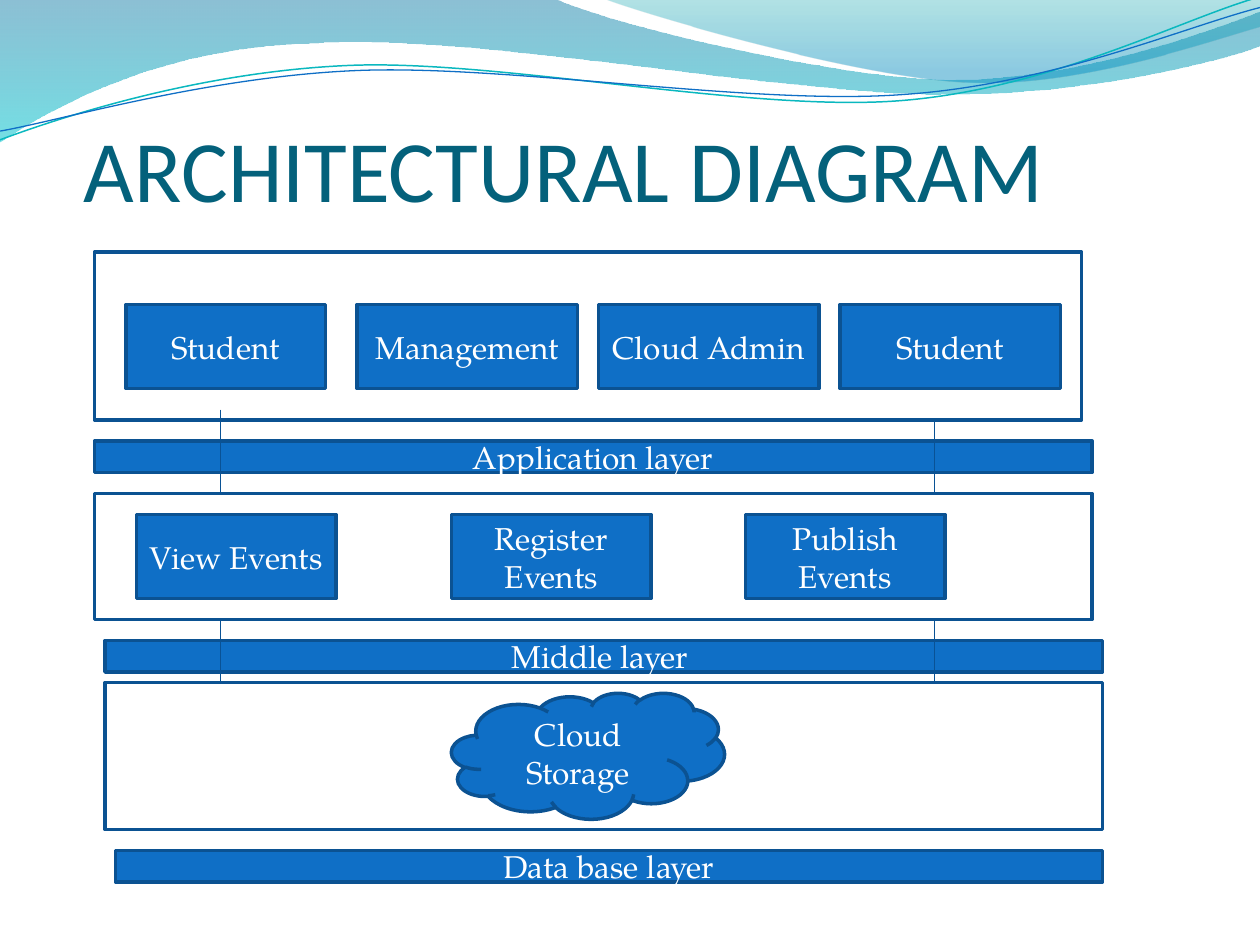
import math

from pptx import Presentation
from pptx.dml.color import RGBColor
from pptx.enum import shapes, text
from pptx.oxml import ns, xmlchemy
from pptx.util import Pt

WHITE = RGBColor(0xFF, 0xFF, 0xFF)
BLUE = RGBColor(0x0F, 0x6F, 0xC6)
NAVY = RGBColor(0x0B, 0x52, 0x92)
LINK = RGBColor(0x09, 0x52, 0x95)
TITLE = RGBColor(0x04, 0x61, 0x7B)
AQUA = RGBColor(0x0A, 0xB8, 0xBF)
WAVE_BLUE, WAVE_AQUA = RGBColor(0x00, 0x74, 0xA1), RGBColor(0x00, 0xC6, 0xCF)
CREST_TEAL, CREST_BLUE = RGBColor(0x00, 0xA1, 0xA9), RGBColor(0x00, 0x8B, 0xBF)

PROCESS = shapes.MSO_SHAPE.FLOWCHART_PROCESS
CLOUD = shapes.MSO_SHAPE.CLOUD
TITLE_FONT = {"name": "Calibri", "size": Pt(50), "bold": False}
LABEL_FONT = {"name": "TeX Gyre Pagella", "size": Pt(18)}
STRAND_TILT = -2.7

# Outlines: pairs of numbers are line ends, sixes are Bezier curves
WAVE = [(0, 0), (317, -0.7), (342.7, 12.2, 478.1, 45.4, 545.8, 45.4),
        (614.2, 45.4, 689.8, 18.7, 720, 6.5), (720.7, 25.9),
        (707.8, 31.7, 626.4, 54.7, 537.1, 54), (447.8, 54, 275, 20.2, 185, 24.5),
        (92.9, 25.9, 33.1, 59.8, -0.7, 81.4), (0, 0)]
CREST = [(344.9, -0.7), (366.5, 7.9, 491, 44.6, 553.7, 46.8),
         (616.3, 49.7, 691.9, 23, 720, 15.1), (720, 0), (344.9, -0.7)]
AQUA_STRAND = [(0, 79.9), (34.6, 67, 113.8, 41, 199.4, 37.4),
               (284.4, 33.8, 427, 64.1, 513.4, 57.6),
               (599.8, 51.1, 675.4, 10.8, 718.6, -1.4)]
BLUE_STRAND = [(0, 74.9), (33.8, 69.1, 118.1, 43.9, 203.8, 40.3),
               (290.2, 36.7, 429.8, 60.5, 516.2, 54),
               (601.9, 48.2, 677.5, 15.1, 720, 4.3)]


def set_all(target, values):
    for name, value in values.items():
        setattr(target, name, value)


def turn(x, y, degrees, center=(359.3, 41.4)):
    cos, sin = math.cos(math.radians(degrees)), math.sin(math.radians(degrees))
    dx, dy = x - center[0], y - center[1]
    return center[0] + dx * cos - dy * sin, center[1] + dx * sin + dy * cos


def add_outline(page, outline, close, tilt=0):
    """Draw lines through all points, then join each group of three to a curve."""
    points = [turn(x, y, -tilt) for part in outline
              for x, y in zip(part[::2], part[1::2])]
    points = [(Pt(x), Pt(y)) for x, y in points]
    builder = page.shapes.build_freeform(*points[0])
    builder.add_line_segments(points[1:], close=close)
    shape = builder.convert_to_shape()
    shape.shadow.inherit = False
    shape.rotation = tilt % 360

    lines = iter(list(shape.element.iter(ns.qn("a:lnTo"))))
    for part in outline[1:]:
        group = [next(lines) for _ in part[::2]]
        if len(group) == 3:
            curve = xmlchemy.OxmlElement("a:cubicBezTo")
            group[0].addprevious(curve)
            for line in group:
                curve.append(line[0])
                line.getparent().remove(line)
    return shape


def add_wave(page, outline, stops):
    shape = add_outline(page, outline, True)
    shape.line.fill.background()
    shape.fill.gradient()
    shape.fill.gradient_angle = 270
    for stop, (position, color, _) in zip(shape.fill.gradient_stops, stops):
        stop.position = position
        stop.color.rgb = color
    colors = shape.element.spPr.iter(ns.qn("a:srgbClr"))
    for color, (_, _, percent) in zip(colors, stops):
        alpha = xmlchemy.OxmlElement("a:alpha")
        alpha.set("val", str(percent * 1000))
        color.append(alpha)


def add_strand(page, outline, color, width):
    shape = add_outline(page, outline, False, STRAND_TILT)
    shape.fill.background()
    shape.line.color.rgb = color
    shape.line.width = Pt(width)


def add_header(page):
    add_wave(page, WAVE, [(0, WAVE_BLUE, 45), (1, WAVE_AQUA, 55)])
    add_wave(page, CREST, [(0, CREST_TEAL, 30), (0.8, CREST_BLUE, 45)])
    add_strand(page, AQUA_STRAND, AQUA, 0.85)
    add_strand(page, BLUE_STRAND, BLUE, 0.75)


def add_title(page, left, top, width, height):
    title = page.shapes.title
    set_all(title, {"left": Pt(left), "top": Pt(top),
                    "width": Pt(width), "height": Pt(height)})
    frame = title.text_frame
    set_all(frame, {"auto_size": text.MSO_AUTO_SIZE.NONE, "word_wrap": True,
                    "vertical_anchor": text.MSO_ANCHOR.BOTTOM,
                    "margin_left": 0, "margin_right": 0,
                    "margin_top": Pt(3.6), "margin_bottom": 0})
    para = frame.paragraphs[0]
    para.alignment = text.PP_ALIGN.LEFT
    span = para.add_run()
    span.text = "ARCHITECTURAL DIAGRAM"
    set_all(span.font, TITLE_FONT)
    span.font.color.rgb = TITLE


def add_block(page, left, top, width, height, label="", fill=BLUE, kind=PROCESS):
    block = page.shapes.add_shape(kind, Pt(left), Pt(top), Pt(width), Pt(height))
    block.shadow.inherit = False
    if fill is None:
        block.fill.background()
    else:
        block.fill.solid()
        block.fill.fore_color.rgb = fill
    block.line.color.rgb = NAVY
    block.line.width = Pt(2)
    if label:
        block.text_frame.vertical_anchor = text.MSO_ANCHOR.MIDDLE
        para = block.text_frame.paragraphs[0]
        para.alignment = text.PP_ALIGN.CENTER
        span = para.add_run()
        span.text = label
        set_all(span.font, LABEL_FONT)
        span.font.color.rgb = WHITE


def add_layer(page, box, fill, inset, parts, bar, kind=PROCESS, part_height=48):
    """Frame with parts (label, offset, width) and a named bar (label, dx, dy, width)."""
    left, top, width, height = box
    add_block(page, left, top, width, height, fill=fill)
    for label, offset, part_width in parts:
        add_block(page, left + offset, top + inset, part_width, part_height,
                  label, kind=kind)
    label, dx, dy, bar_width = bar
    add_block(page, left + dx, top + dy, bar_width, 18, label)


def add_links(page, links):
    for x, top, bottom in links:
        link = page.shapes.add_connector(
            shapes.MSO_CONNECTOR.STRAIGHT, Pt(x), Pt(top), Pt(x), Pt(bottom))
        link.line.color.rgb = LINK
        link.line.width = Pt(0.75)
        link.element.spPr.append(xmlchemy.OxmlElement("a:effectLst"))


def main():
    deck = Presentation()
    deck.slide_width, deck.slide_height = Pt(720), Pt(540)
    page = deck.slides.add_slide(deck.slide_layouts[5])

    add_header(page)
    add_title(page, 48, 36, 654, 90)

    # Application layer
    add_layer(page, (54, 144, 564, 96), WHITE, 30,
              [("Student", 18, 114), ("Management", 150, 126),
               ("Cloud Admin", 288, 126), ("Student", 426, 126)],
              ("Application layer", 0, 108, 570))
    # Middle layer
    add_layer(page, (54, 282, 570, 72), WHITE, 12,
              [("View Events", 24, 114), ("Register Events", 204, 114),
               ("Publish Events", 372, 114)],
              ("Middle layer ", 6, 84, 570))
    # Database layer
    add_layer(page, (60, 390, 570, 84), None, 6, [("Cloud Storage", 198, 156)],
              ("Data base layer", 6, 96, 564), kind=CLOUD, part_height=72)
    # Links between the layers
    add_links(page, [(126, 234, 282), (534, 240, 282),
                     (126, 354, 390), (534, 354, 390)])

    deck.save("out.pptx")


if __name__ == "__main__":
    main()
